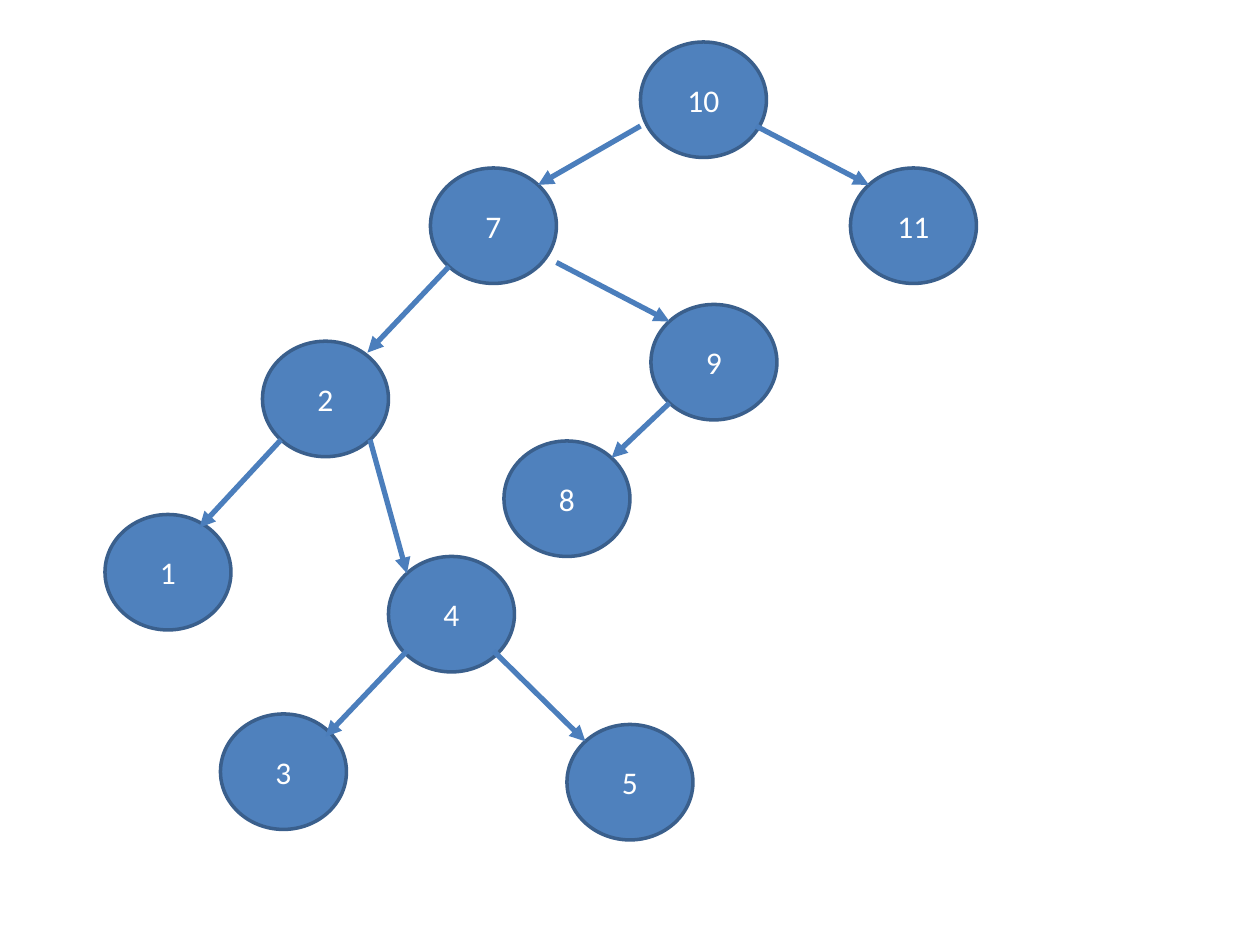
from dataclasses import dataclass
from math import sqrt

from lxml import etree
from pptx import Presentation
from pptx.dml.color import RGBColor
from pptx.enum import shapes, text
from pptx.oxml.ns import qn
from pptx.util import Pt


@dataclass(frozen=True)
class Theme:
    """Colours, font and sizes in points."""
    fill: str = "4F81BD"
    outline: str = "3A5F8C"
    arrow: str = "4B7EBC"
    label: str = "FFFFFF"
    font: str = "Calibri"
    size: int = 18
    outline_w: int = 2
    arrow_w: int = 3


T = Theme()
NODE_W, NODE_H = 72, 66

# Key: left and top of each node within the tree box
NODES = {
    10: (306, 0), 7: (186, 72), 11: (426, 72), 2: (90, 171), 4: (162, 294),
    9: (312, 150), 1: (0, 270), 5: (264, 390), 3: (66, 384), 8: (228, 228),
}

# Parent, child, then a start and an end that replace the usual rim points
EDGES = [
    (10, 7, (306, 48), None),
    (7, 2, None, (150, 177.5)),
    (10, 11, (372, 48), None),
    (7, 9, (258, 126), None),
    (2, 4, None, None),
    (2, 1, None, (54, 277.5)),
    (4, 3, (172.5, 348), (126, 397)),
    (4, 5, (222, 348), None),
    (9, 8, None, None),
]


def rim(key, side, level):
    """Return the diagonal rim point of a node; side and level are -1 or 1."""
    x, y = NODES[key]
    k = sqrt(0.5)
    return (x + NODE_W / 2 * (1 + side * k), y + NODE_H / 2 * (1 + level * k))


def add_node(s, key, x, y):
    """Draw one labelled node with its top left corner at x, y."""
    sp = s.shapes.add_shape(shapes.MSO_SHAPE.OVAL, Pt(x), Pt(y), Pt(NODE_W), Pt(NODE_H))
    sp.shadow.inherit = False
    sp.fill.solid()
    sp.fill.fore_color.rgb = RGBColor.from_string(T.fill)
    sp.line.color.rgb = RGBColor.from_string(T.outline)
    sp.line.width = Pt(T.outline_w)
    tf = sp.text_frame
    tf.vertical_anchor = text.MSO_ANCHOR.MIDDLE
    p = tf.paragraphs[0]
    p.text = str(key)
    p.alignment = text.PP_ALIGN.CENTER
    p.font.name = T.font
    p.font.size = Pt(T.size)
    p.font.color.rgb = RGBColor.from_string(T.label)


def add_arrow(s, x1, y1, x2, y2):
    """Draw an arrow with a triangular head at x2, y2."""
    c = s.shapes.add_connector(shapes.MSO_CONNECTOR.STRAIGHT, Pt(x1), Pt(y1), Pt(x2), Pt(y2))
    c.line.color.rgb = RGBColor.from_string(T.arrow)
    c.line.width = Pt(T.arrow_w)
    etree.SubElement(c.line._get_or_add_ln(), qn("a:tailEnd"), type="triangle")
    etree.SubElement(c._element.spPr, qn("a:effectLst"))


def add_tree(s, left, top):
    """Draw the search tree in the box that starts at left, top."""
    for key, (x, y) in NODES.items():
        add_node(s, key, left + x, top + y)
    for parent, child, start, end in EDGES:
        side = 1 if child > parent else -1
        x1, y1 = start or rim(parent, side, 1)
        x2, y2 = end or rim(child, -side, -1)
        add_arrow(s, left + x1, top + y1, left + x2, top + y2)


prs = Presentation()
prs.slide_width, prs.slide_height = Pt(720), Pt(540)
s = prs.slides.add_slide(prs.slide_layouts[6])
add_tree(s, 60, 24)
prs.save("out.pptx")
